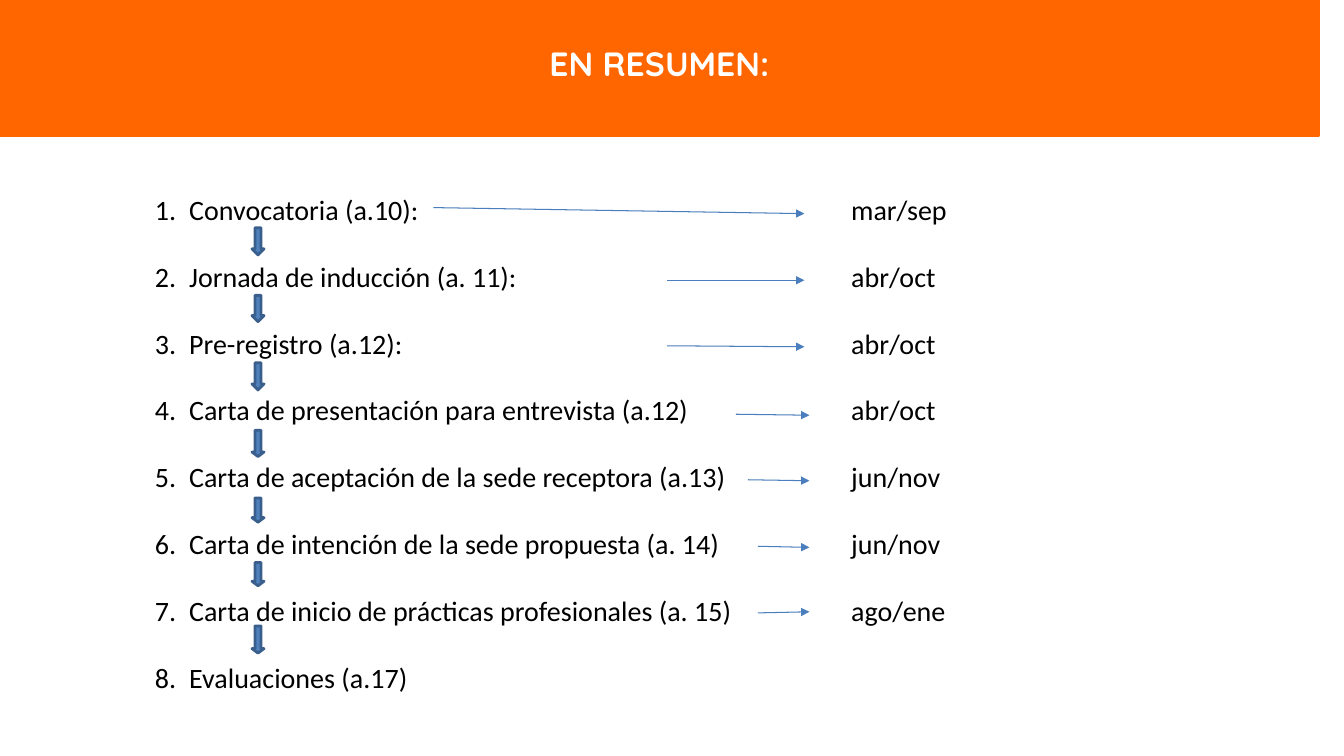
from lxml import etree
from pptx import Presentation
from pptx.dml.color import RGBColor
from pptx.enum.shapes import MSO_CONNECTOR, MSO_SHAPE
from pptx.enum.text import MSO_ANCHOR, PP_ALIGN
from pptx.oxml.ns import qn
from pptx.util import Pt

RECTANGLE, DOWN_ARROW = MSO_SHAPE.RECTANGLE, MSO_SHAPE.DOWN_ARROW
STRAIGHT = MSO_CONNECTOR.STRAIGHT
CENTER, LEFT = PP_ALIGN.CENTER, PP_ALIGN.LEFT
TOP, MIDDLE = MSO_ANCHOR.TOP, MSO_ANCHOR.MIDDLE

ORANGE = RGBColor(0xFF, 0x66, 0x00)
WHITE = RGBColor(0xFF, 0xFF, 0xFF)
BLACK = RGBColor(0x00, 0x00, 0x00)
BLUE = RGBColor(0x4F, 0x81, 0xBD)
DARK_BLUE = RGBColor(0x3A, 0x5F, 0x8C)
LINE_BLUE = RGBColor(0x4B, 0x7E, 0xBC)

# Content
TITLE = "EN RESUMEN:"
STEPS = [
    "Convocatoria (a.10):",
    "Jornada de inducción (a. 11):",
    "Pre-registro (a.12):",
    "Carta de presentación para entrevista (a.12)",
    "Carta de aceptación de la sede receptora (a.13)",
    "Carta de intención de la sede propuesta (a. 14)",
    "Carta de inicio de prácticas profesionales (a. 15)",
    "Evaluaciones (a.17)",
]
MONTHS = ["mar/sep", "abr/oct", "abr/oct", "abr/oct", "jun/nov", "jun/nov", "ago/ene"]

# Arrows from step to months: start x, start y, end x, end y
MONTH_ARROWS = [
    (309.6, 148.3, 574.6, 152.6),
    (476.6, 200.2, 574.6, 200.2),
    (476.6, 247, 574.6, 247.7),
    (525.6, 295.9, 578.2, 296.6),
    (534.2, 342.7, 578.2, 343.4),
    (541.4, 390.2, 578.2, 391),
    (541.4, 437.8, 578.2, 437),
]
# Arrows from step to step: top, height, head proportion
STEP_ARROWS = [
    (162.7, 19.4, 0.5),
    (211, 18.7, 0.5),
    (259.2, 19.4, 0.5),
    (307.4, 18.7, 0.37),
    (355.7, 17.3, 0.37),
    (401.8, 16.6, 0.37),
    (447.1, 19.4, 0.37),
]

# Layout
SLIDE_W, SLIDE_H = 960, 540
BAND_W, BAND_H = 941.8, 97.2
LIST_TOP, ROW_PITCH, LINE_H = 137.5, 48.1, 24.4
STEPS_X, STEPS_W, NUMBER_W = 110.7, 450, 24.4
MONTHS_X, MONTHS_W = 608, 120
STEP_ARROW_X, STEP_ARROW_W = 180, 8.6


def add_box(slide, kind, left, top, width, height, fill, outline):
    box = slide.shapes.add_shape(kind, Pt(left), Pt(top), Pt(width), Pt(height))
    box.shadow.inherit = False
    box.fill.solid()
    box.fill.fore_color.rgb = fill
    box.line.color.rgb = outline
    box.line.width = Pt(2)
    return box


def add_list(slide, lines, left, width, numbered=False):
    height = (len(lines) - 1) * ROW_PITCH + LINE_H
    box = slide.shapes.add_textbox(Pt(left), Pt(LIST_TOP), Pt(width), Pt(height))
    frame = box.text_frame
    frame.margin_left = frame.margin_right = frame.margin_top = frame.margin_bottom = 0
    frame.word_wrap = True
    frame.vertical_anchor = TOP
    frame.text = "\n".join(lines)
    for row, paragraph in enumerate(frame.paragraphs):
        paragraph.alignment = LEFT
        if row:
            paragraph.space_before = Pt(ROW_PITCH - LINE_H)
        if numbered:
            props = paragraph._p.get_or_add_pPr()
            props.set("marL", str(Pt(NUMBER_W)))
            props.set("indent", str(-Pt(NUMBER_W)))
            etree.SubElement(props, qn("a:buFont"), typeface="Calibri")
            etree.SubElement(props, qn("a:buAutoNum"), type="arabicPeriod")
        for run in paragraph.runs:
            run.font.name = "Calibri"
            run.font.size = Pt(20)
            run.font.color.rgb = BLACK


def add_month_arrow(slide, x1, y1, x2, y2):
    arrow = slide.shapes.add_connector(STRAIGHT, Pt(x1), Pt(y1), Pt(x2), Pt(y2))
    arrow.line.color.rgb = LINE_BLUE
    arrow.line.width = Pt(0.75)
    etree.SubElement(arrow.line._get_or_add_ln(), qn("a:tailEnd"), type="triangle")
    etree.SubElement(arrow._element.spPr, qn("a:effectLst"))


def main():
    deck = Presentation()
    deck.slide_width, deck.slide_height = Pt(SLIDE_W), Pt(SLIDE_H)
    slide = deck.slides.add_slide(deck.slide_layouts[6])

    # Title band
    band = add_box(slide, RECTANGLE, 0, 0, BAND_W, BAND_H, ORANGE, ORANGE)
    frame = band.text_frame
    frame.vertical_anchor = MIDDLE
    frame.margin_top, frame.margin_bottom = 0, Pt(7.2)
    frame.text = TITLE
    title = frame.paragraphs[0]
    title.alignment = CENTER
    font = title.runs[0].font
    font.name, font.size, font.bold = "Quicksand", Pt(24), True
    font.color.rgb = WHITE

    # Steps and their months
    add_list(slide, STEPS, STEPS_X, STEPS_W, numbered=True)
    add_list(slide, MONTHS, MONTHS_X, MONTHS_W)

    # Arrows
    for top, height, head in STEP_ARROWS:
        arrow = add_box(slide, DOWN_ARROW, STEP_ARROW_X, top, STEP_ARROW_W, height,
                        BLUE, DARK_BLUE)
        arrow.adjustments[1] = head
    for ends in MONTH_ARROWS:
        add_month_arrow(slide, *ends)

    deck.save("out.pptx")


if __name__ == "__main__":
    main()
